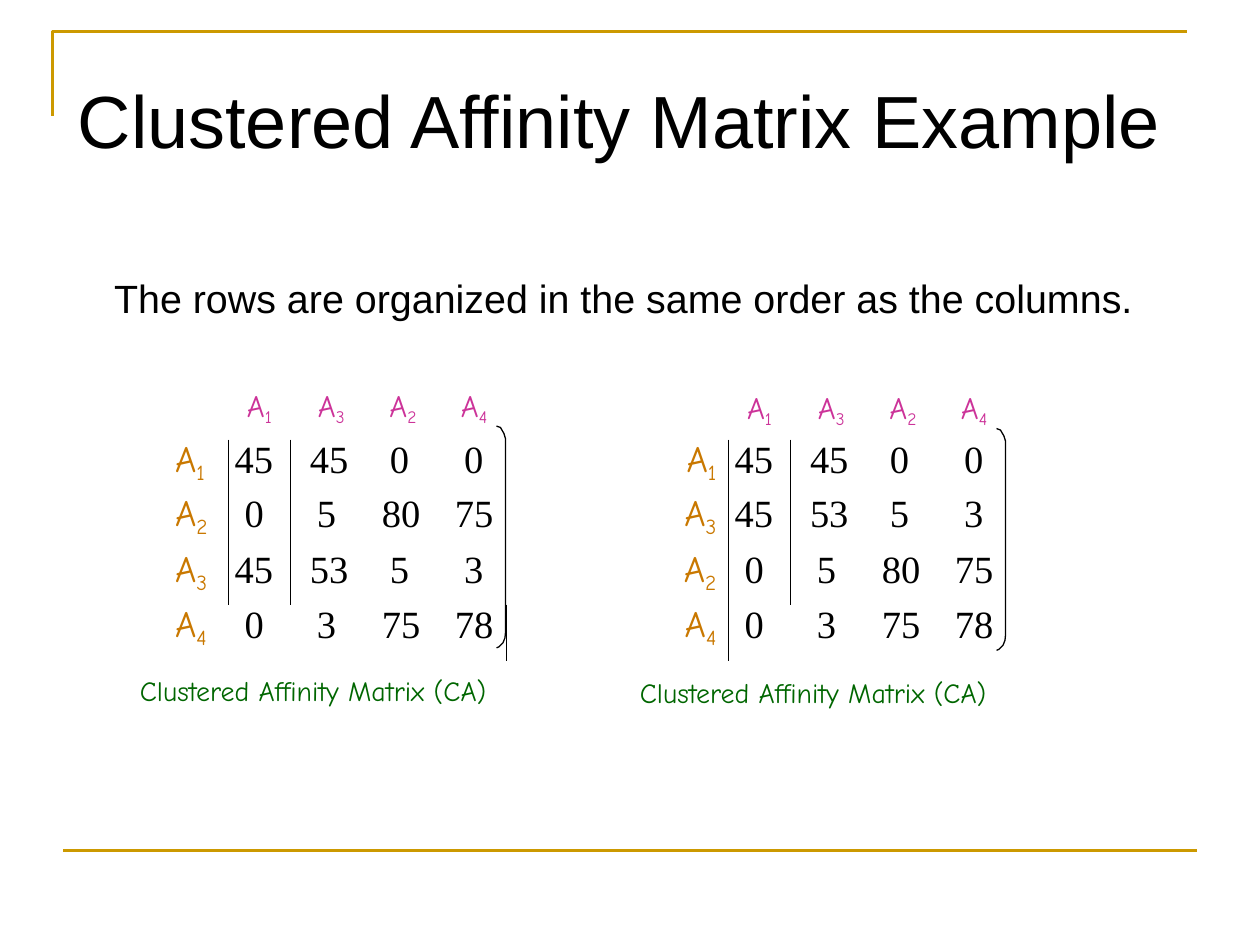
from itertools import accumulate

from lxml import etree
from pptx import Presentation
from pptx.dml.color import RGBColor
from pptx.enum.shapes import MSO_CONNECTOR
from pptx.enum.text import PP_ALIGN
from pptx.oxml.ns import qn
from pptx.util import Cm, Pt

LEFT, CENTER, RIGHT = PP_ALIGN.LEFT, PP_ALIGN.CENTER, PP_ALIGN.RIGHT
STRAIGHT = MSO_CONNECTOR.STRAIGHT

# Content
TITLE = "Clustered Affinity Matrix Example"
STATEMENT = "The rows are organized in the same order as the columns."
CAPTION = "Clustered Affinity Matrix (CA)"
COLUMN_ORDER = "1324"
AFFINITY = {
    "1": [45, 45, 0, 0],
    "2": [0, 5, 80, 75],
    "3": [45, 53, 5, 3],
    "4": [0, 3, 75, 78],
}
ROW_ORDERS = ["1234", "1324"]  # left matrix, right matrix

THEME = {
    "frame": "CC9900", "ink": "000000", "column": "CC3399",
    "row": "C97800", "caption": "006600",
    "sans": "Arial", "hand": "Comic Neue", "serif": "Times New Roman",
    "title_pt": 42.2, "statement_pt": 22.5, "column_pt": 17.6, "column_sub_pt": 17.2,
    "row_pt": 21, "value_pt": 22, "caption_pt": 15.9,
    "frame_line": 1.5, "thin_line": 0.75,
}

# Geometry in centimetres
TABLE_LEFT, TABLE_TOP = 3.45, 8.86
COLUMN_WIDTHS = [1.15, 1.25, 1.47, 1.47, 1.42, 4.47, 1.25, 1.47, 1.47, 1.17]
ROW_HEIGHTS = [1.09, 1.12, 1.12, 1.14]
MATRIX_COLUMNS = 5
LABEL_MARGIN = 0.24
INDENTS = {1: [0.33, 0.54, 0.54, 0.57], 2: [0.13, 0.40, 0.38, 0.38]}  # by digit count
DIVIDERS = {0: range(3), 1: range(3), 4: [3], 5: range(4), 6: range(3)}  # right of column: rows
HEADER_TABS = [1.43, 2.87, 4.31]
MATRIX_ORIGINS = [(0, 0), (10.08, 0.05)]
BRACKET = [(0, 0), (0.08, 0.03), (0.15, 0.15), (0.18, 0.25), (0.18, 4.17),
           (0.17, 4.27), (0.13, 4.37), (0.05, 4.45), (0, 4.47)]

prs = Presentation()
prs.slide_width, prs.slide_height = Cm(25.4), Cm(19.05)
slide = prs.slides.add_slide(prs.slide_layouts[6])
shapes = slide.shapes


def colour(role):
    return RGBColor.from_string(THEME[role])


def style(paragraph, face, size, role, align=LEFT):
    paragraph.alignment = align
    font = paragraph.font
    font.name, font.size = THEME[face], Pt(THEME[size])
    font.color.rgb = colour(role)


def add_subscripted(paragraph, digit, size=None, tail=""):
    """Append A with a lowered digit."""
    paragraph.add_run().text = "A"
    subscript = paragraph.add_run()
    subscript.text = digit + tail
    if size:
        subscript.font.size = Pt(THEME[size])
    subscript._r.get_or_add_rPr().set("baseline", "-21000")


def text_area(left, top, width, height, inset):
    frame = shapes.add_textbox(Cm(left), Cm(top), Cm(width), Cm(height)).text_frame
    frame.word_wrap = True
    frame.margin_left = frame.margin_right = frame.margin_bottom = 0
    frame.margin_top = Cm(inset)
    return frame.paragraphs[0]


def add_label(box, words, *look):
    paragraph = text_area(*box)
    paragraph.text = words
    style(paragraph, *look)


def add_outline(points, role, weight):
    (x, y), *rest = [(Cm(px), Cm(py)) for px, py in points]
    builder = shapes.build_freeform(x, y)
    builder.add_line_segments(rest, close=False)
    outline = builder.convert_to_shape()
    outline.shadow.inherit = False
    outline.fill.background()
    outline.line.color.rgb = colour(role)
    outline.line.width = Pt(THEME[weight])


def set_borders(cell, drawn):
    """Draw the sides named in drawn and leave the other sides empty."""
    properties = cell._tc.get_or_add_tcPr()
    for place, side in enumerate(["lnL", "lnR", "lnT", "lnB"]):
        line = etree.Element(qn("a:" + side), w=str(Pt(THEME["thin_line"])))
        if side in drawn:
            fill = etree.SubElement(line, qn("a:solidFill"))
            etree.SubElement(fill, qn("a:srgbClr"), val=THEME["ink"])
        else:
            etree.SubElement(line, qn("a:noFill"))
        properties.insert(place, line)


# Slide frame
add_outline([(1.06, 2.33), (1.06, 0.63), (23.93, 0.63)], "frame", "frame_line")
footer_rule = shapes.add_connector(STRAIGHT, Cm(1.27), Cm(17.15), Cm(24.13), Cm(17.15))
footer_rule.line.color.rgb = colour("frame")
footer_rule.line.width = Pt(THEME["frame_line"])
etree.SubElement(footer_rule._element.spPr, qn("a:effectLst"))

# Title and statement
add_label((0.46, 1.35, 24.05, 2.44, 0.15), TITLE, "sans", "title_pt", "ink", CENTER)
add_label((2.3, 5.44, 20.9, 0.79, 0.09), STATEMENT, "sans", "statement_pt", "ink")

# Column headings, bracket and caption of each matrix
for dx, dy in MATRIX_ORIGINS:
    heading = text_area(4.98 + dx, 7.75 + dy, 5.08, 0.89, 0.04)
    for digit in COLUMN_ORDER:
        add_subscripted(heading, digit, "column_sub_pt",
                        "" if digit == COLUMN_ORDER[-1] else "\t")
    style(heading, "hand", "column_pt", "column")
    tabs = etree.Element(qn("a:tabLst"))
    for stop in HEADER_TABS:
        etree.SubElement(tabs, qn("a:tab"), pos=str(Cm(stop)), algn="l")
    heading._p.get_or_add_pPr().find(qn("a:defRPr")).addprevious(tabs)

    add_outline([(10.01 + dx + x, 8.59 + dy + y) for x, y in BRACKET], "ink", "thin_line")
    add_label((2.82 + dx, 13.54 + dy, 8.2, 0.71, 0.04), CAPTION,
              "hand", "caption_pt", "caption")

# Both matrices in one table
right_edge = list(accumulate(COLUMN_WIDTHS))[-1]
table = shapes.add_table(len(ROW_HEIGHTS), len(COLUMN_WIDTHS), Cm(TABLE_LEFT), Cm(TABLE_TOP),
                         Cm(right_edge), Cm(sum(ROW_HEIGHTS))).table
table.first_row = table.horz_banding = False
for column, width in zip(table.columns, COLUMN_WIDTHS):
    column.width = Cm(width)
for row, height in zip(table.rows, ROW_HEIGHTS):
    row.height = Cm(height)

for r in range(len(ROW_HEIGHTS)):
    for c in range(len(COLUMN_WIDTHS)):
        matrix, position = divmod(c, MATRIX_COLUMNS)
        attribute = ROW_ORDERS[matrix][r]
        cell = table.cell(r, c)
        cell.fill.background()
        cell.margin_left = cell.margin_right = cell.margin_top = cell.margin_bottom = 0
        paragraph = cell.text_frame.paragraphs[0]
        if position == 0:
            add_subscripted(paragraph, attribute)
            style(paragraph, "hand", "row_pt", "row", RIGHT if matrix else LEFT)
            if matrix:
                cell.margin_right = Cm(LABEL_MARGIN)
            else:
                cell.margin_left = Cm(0.08)
        else:
            value = str(AFFINITY[attribute][position - 1])
            paragraph.text = value
            style(paragraph, "serif", "value_pt", "ink")
            cell.margin_left = Cm(INDENTS[len(value)][position - 1])
        sides = {"lnL": c - 1, "lnR": c}
        set_borders(cell, [s for s, edge in sides.items() if r in DIVIDERS.get(edge, [])])

prs.save("out.pptx")
